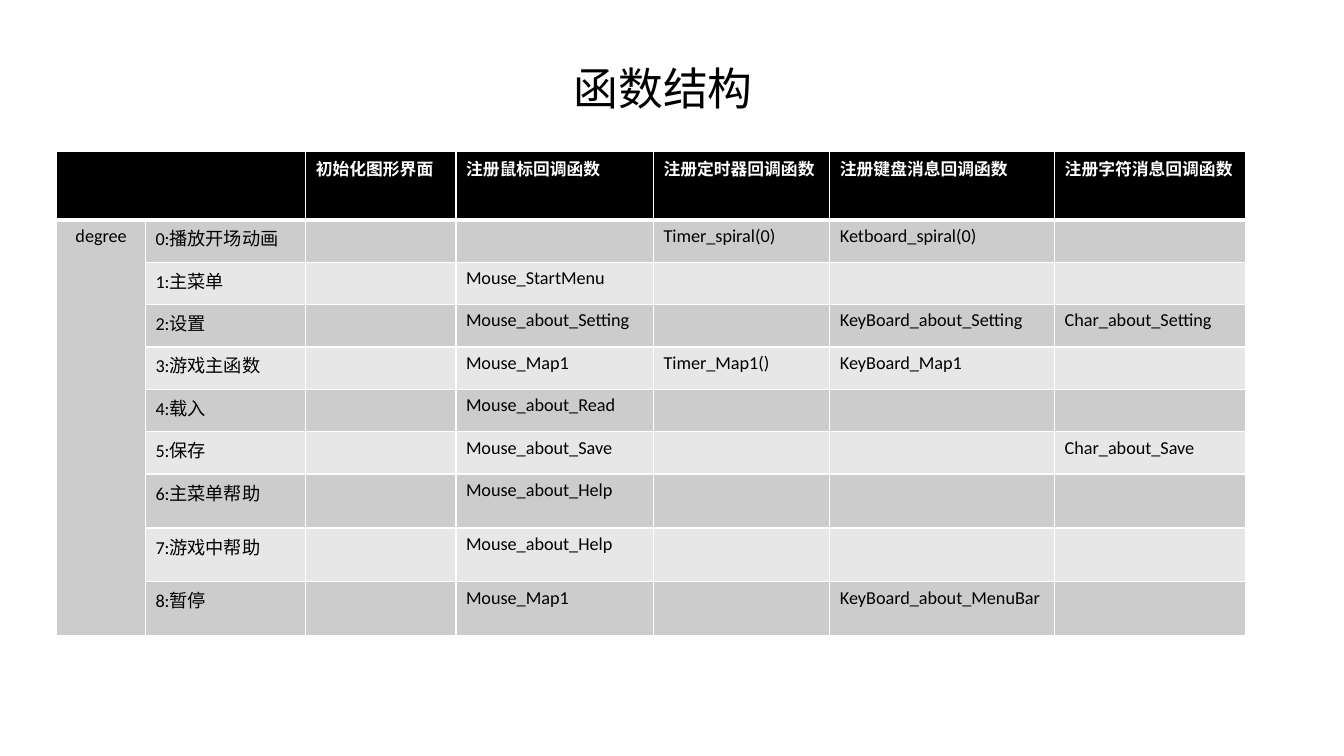
from lxml.etree import SubElement
from pptx import Presentation
from pptx.dml.color import RGBColor
from pptx.enum.text import MSO_ANCHOR, MSO_AUTO_SIZE, PP_ALIGN
from pptx.oxml.ns import qn
from pptx.util import Pt

COLORS = {"black": "000000", "white": "FFFFFF", "dark": "CCCCCC", "light": "E7E7E7"}
FONT = "Calibri"
COL_WIDTHS = [63.4, 114.5, 107.3, 141.1, 126, 160.6, 136.1]
ROW_HEIGHTS = [49] + [30.3] * 6 + [38.5] * 3
ROWS = [
    ["", "", "初始化图形界面", "注册鼠标回调函数", "注册定时器回调函数",
     "注册键盘消息回调函数", "注册字符消息回调函数"],
    ["degree", "0:播放开场动画", "", "", "Timer_spiral(0)", "Ketboard_spiral(0)", ""],
    ["", "1:主菜单", "", "Mouse_StartMenu", "", "", ""],
    ["", "2:设置", "", "Mouse_about_Setting", "", "KeyBoard_about_Setting", "Char_about_Setting"],
    ["", "3:游戏主函数", "", "Mouse_Map1", "Timer_Map1()", "KeyBoard_Map1", ""],
    ["", "4:载入", "", "Mouse_about_Read", "", "", ""],
    ["", "5:保存", "", "Mouse_about_Save", "", "", "Char_about_Save"],
    ["", "6:主菜单帮助", "", "Mouse_about_Help", "", "", ""],
    ["", "7:游戏中帮助", "", "Mouse_about_Help", "", "", ""],
    ["", "8:暂停", "", "Mouse_Map1", "", "KeyBoard_about_MenuBar", ""],
]


def rgb(name):
    return RGBColor.from_string(COLORS[name])


def add_run(p, text, size, color, bold=False):
    r = p.add_run()
    r.text = text
    r.font.name = FONT
    r.font.size = Pt(size)
    r.font.bold = bold
    r.font.color.rgb = rgb(color)


def set_borders(cell, top, bottom):
    tc_pr = cell._tc.get_or_add_tcPr()
    sides = {"a:lnL": 1, "a:lnR": 1, "a:lnT": top, "a:lnB": bottom}
    for i, (tag, width) in enumerate(sides.items()):
        ln = SubElement(tc_pr, qn(tag), w=str(Pt(width)))
        fill = SubElement(ln, qn("a:solidFill"))
        SubElement(fill, qn("a:srgbClr"), val=COLORS["white"])
        tc_pr.insert(i, ln)


def add_title(s, left, top, width, height):
    sp = s.shapes.title
    sp.left, sp.top, sp.width, sp.height = Pt(left), Pt(top), Pt(width), Pt(height)
    tf = sp.text_frame
    tf.auto_size = MSO_AUTO_SIZE.NONE
    tf.vertical_anchor = MSO_ANCHOR.MIDDLE
    p = tf.paragraphs[0]
    p.alignment = PP_ALIGN.LEFT
    add_run(p, "函数结构", 32, "black")


def add_callback_table(s, left, top):
    frame = s.shapes.add_table(len(ROWS), len(COL_WIDTHS), Pt(left), Pt(top),
                               Pt(sum(COL_WIDTHS)), Pt(sum(ROW_HEIGHTS)))
    table = frame.table
    for col, width in zip(table.columns, COL_WIDTHS):
        col.width = Pt(width)
    for row, height in zip(table.rows, ROW_HEIGHTS):
        row.height = Pt(height)
    for i, texts in enumerate(ROWS):
        header = i == 0
        fill = "black" if header else "dark" if i % 2 else "light"
        for j, text in enumerate(texts):
            cell = table.cell(i, j)
            cell.fill.solid()
            cell.fill.fore_color.rgb = rgb(fill)
            set_borders(cell, 3 if i == 1 else 1, 3 if header else 1)
            if text:
                p = cell.text_frame.paragraphs[0]
                add_run(p, text, 12 if header else 13,
                        "white" if header else "black", header)
    table.cell(0, 0).merge(table.cell(0, 1))
    table.cell(1, 0).merge(table.cell(len(ROWS) - 1, 0))
    table.cell(1, 0).text_frame.paragraphs[0].alignment = PP_ALIGN.CENTER


def main():
    prs = Presentation()
    prs.slide_width, prs.slide_height = Pt(960), Pt(540)
    s = prs.slides.add_slide(prs.slide_layouts[5])
    add_callback_table(s, 40.5, 108)
    add_title(s, 402.5, 39.6, 309.6, 46)
    prs.save("out.pptx")


if __name__ == "__main__":
    main()
